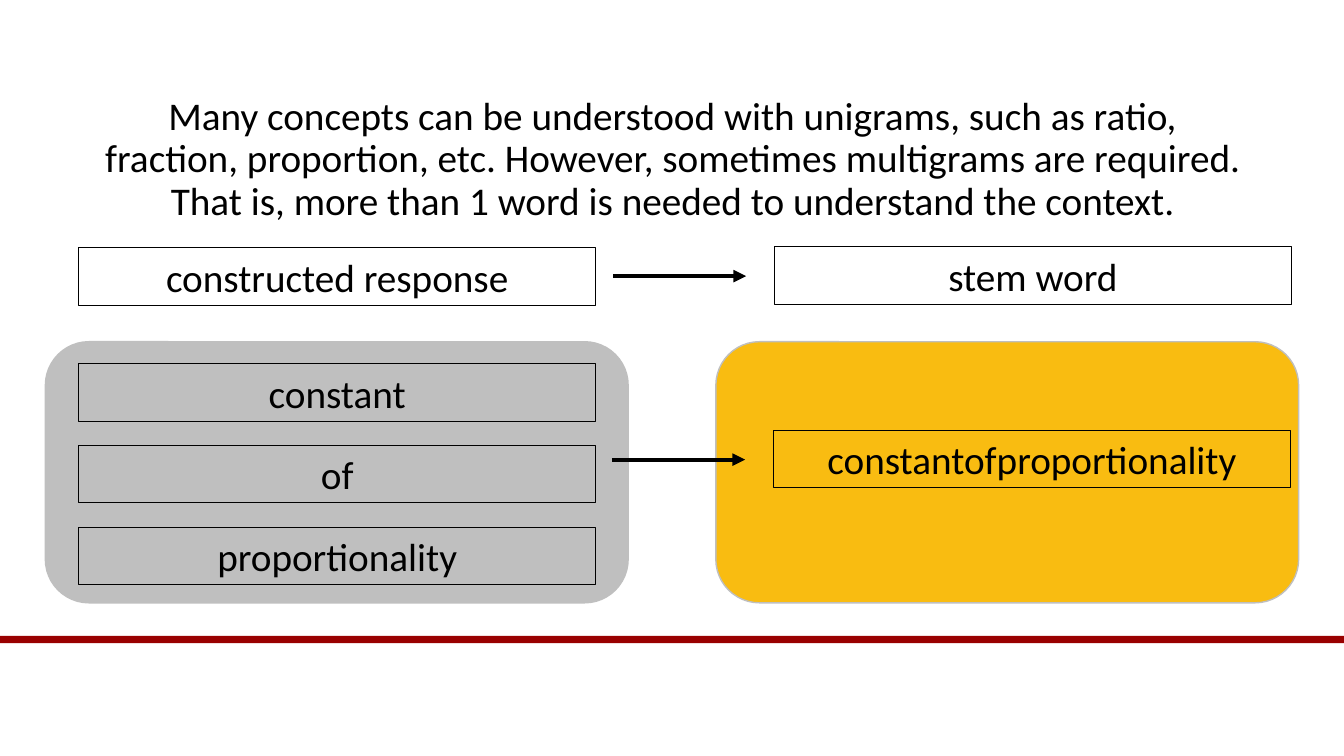
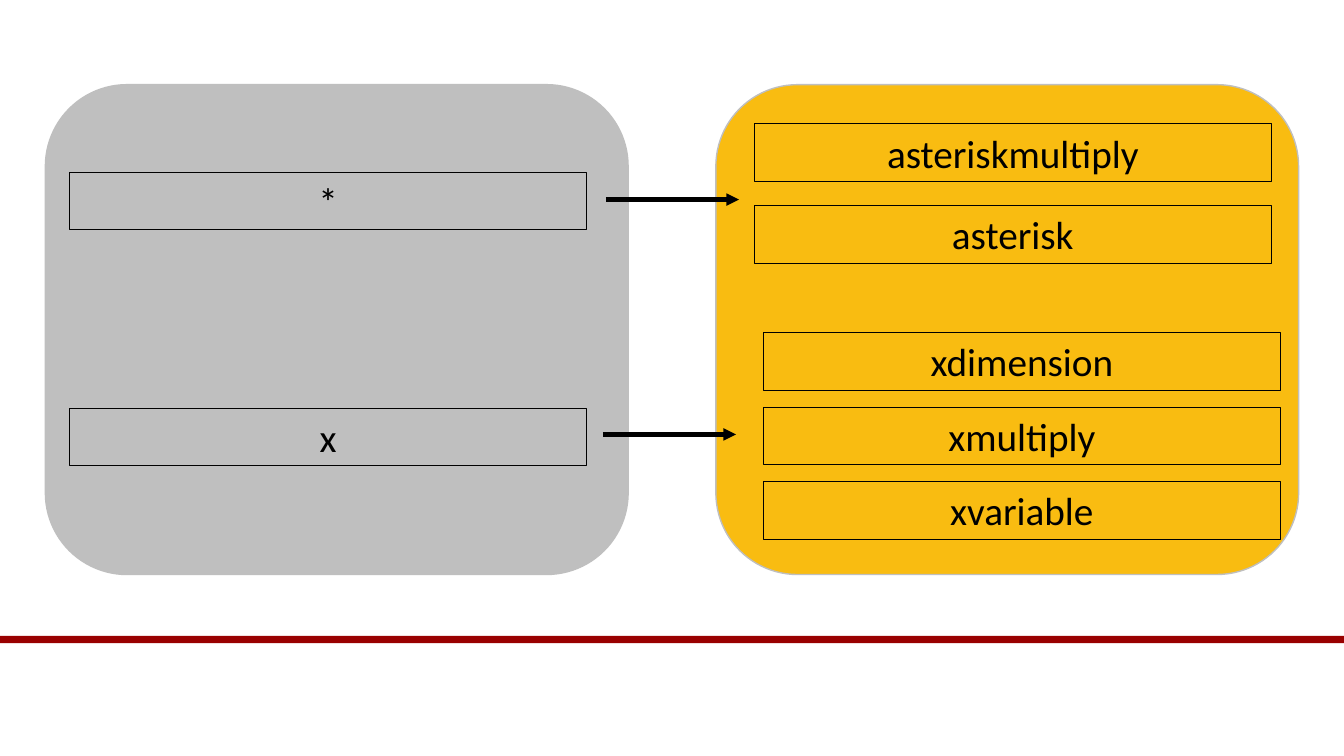
from lxml import etree
from pptx import Presentation
from pptx.dml.color import RGBColor
from pptx.enum.shapes import MSO_CONNECTOR, MSO_SHAPE
from pptx.enum.text import MSO_ANCHOR, MSO_AUTO_SIZE, PP_ALIGN
from pptx.oxml.ns import qn
from pptx.util import Emu, Pt

RECT, ROUND_RECT = MSO_SHAPE.RECTANGLE, MSO_SHAPE.ROUNDED_RECTANGLE
STRAIGHT = MSO_CONNECTOR.STRAIGHT
TOP, CENTER = MSO_ANCHOR.TOP, PP_ALIGN.CENTER
GROW = MSO_AUTO_SIZE.SHAPE_TO_FIT_TEXT

FONT, TEXT_SIZE = "Calibri", 28
BLACK, RED, GRAY, GOLD = "000000", "990000", "BFBFBF", "F9BC11"

SLIDE_W, SLIDE_H = 1333, 750
PANEL_W, BOX_W, BOX_H, ARROW_W = 578, 513, 57, 132
BOX_STEP = 81

INTRO = ("Many concepts can be understood with unigrams, such as ratio, "
         "fraction, proportion, etc. However, sometimes multigrams are "
         "required. That is, more than 1 word is needed to understand "
         "the context.")


def px(n):
    """Turn px (100 to the inch) into EMU."""
    return Emu(n * 9144)


def color(hex_code):
    return RGBColor.from_string(hex_code)


def add_shape(s, kind, x, y, w, h, fill=None, line=None, line_pt=1):
    sp = s.shapes.add_shape(kind, px(x), px(y), px(w), px(h))
    sp.shadow.inherit = False
    if fill:
        sp.fill.solid()
        sp.fill.fore_color.rgb = color(fill)
    else:
        sp.fill.background()
    if line:
        sp.line.color.rgb = color(line)
        sp.line.width = Pt(line_pt)
    else:
        sp.line.fill.background()
    return sp


def set_text(sp, text):
    """Write one centred paragraph and return it."""
    tf = sp.text_frame
    tf.word_wrap = True
    tf.vertical_anchor = TOP
    tf.text = text
    p = tf.paragraphs[0]
    p.alignment = CENTER
    font = p.runs[0].font
    font.name, font.size = FONT, Pt(TEXT_SIZE)
    font.color.rgb = color(BLACK)
    return p


def add_intro(s, x, y, w, h, text):
    p = set_text(s.shapes.add_textbox(px(x), px(y), px(w), px(h)), text)
    p.line_spacing = 0.9
    p.space_before = Pt(10)


def add_panels(s, y, h):
    add_shape(s, ROUND_RECT, 710, y, PANEL_W, h, GOLD, GRAY)
    add_shape(s, ROUND_RECT, 45, y, PANEL_W, h, GRAY, GRAY)


def add_word_boxes(s, x, y, words, step=BOX_STEP):
    """Stack one outlined box per word, step px apart."""
    for i, word in enumerate(words):
        sp = add_shape(s, RECT, x, y + i * step, BOX_W, BOX_H,
                       line=BLACK, line_pt=0.75)
        set_text(sp, word)
        sp.text_frame.auto_size = GROW


def add_arrow(s, x, y):
    arrow = s.shapes.add_connector(STRAIGHT, px(x), px(y),
                                   px(x + ARROW_W), px(y))
    arrow.line.color.rgb = color(BLACK)
    arrow.line.width = Pt(3)
    etree.SubElement(arrow.line._get_or_add_ln(), qn("a:tailEnd"),
                     type="triangle")
    etree.SubElement(arrow._element.spPr, qn("a:effectLst"))


def add_slide(prs):
    """Add a blank slide with the red band above the footer."""
    s = prs.slides.add_slide(prs.slide_layouts[6])
    add_shape(s, RECT, 0, 631, SLIDE_W, 7, RED)
    return s


def build_multigram_slide(prs):
    s = add_slide(prs)
    add_panels(s, 339, 259)
    add_intro(s, 92, 91, 1150, 476, INTRO)
    add_word_boxes(s, 78, 246, ["constructed response"])
    add_arrow(s, 608, 274)
    add_word_boxes(s, 768, 245, ["stem word"])
    add_word_boxes(s, 78, 361, ["constant", "of", "proportionality"])
    add_arrow(s, 607, 456)
    add_word_boxes(s, 767, 427, ["constantofproportionality"])


def build_symbol_slide(prs):
    s = add_slide(prs)
    add_panels(s, 84, 486)
    add_word_boxes(s, 69, 171, ["*"])
    add_arrow(s, 601, 198)
    add_word_boxes(s, 748, 123, ["asteriskmultiply", "asterisk"])
    add_word_boxes(s, 69, 405, ["x"])
    add_arrow(s, 598, 431)
    add_word_boxes(s, 757, 330, ["xdimension", "xmultiply", "xvariable"],
                   step=74)


def main():
    prs = Presentation()
    prs.slide_width, prs.slide_height = px(SLIDE_W), px(SLIDE_H)
    build_multigram_slide(prs)
    build_symbol_slide(prs)
    prs.save("out.pptx")


if __name__ == "__main__":
    main()
